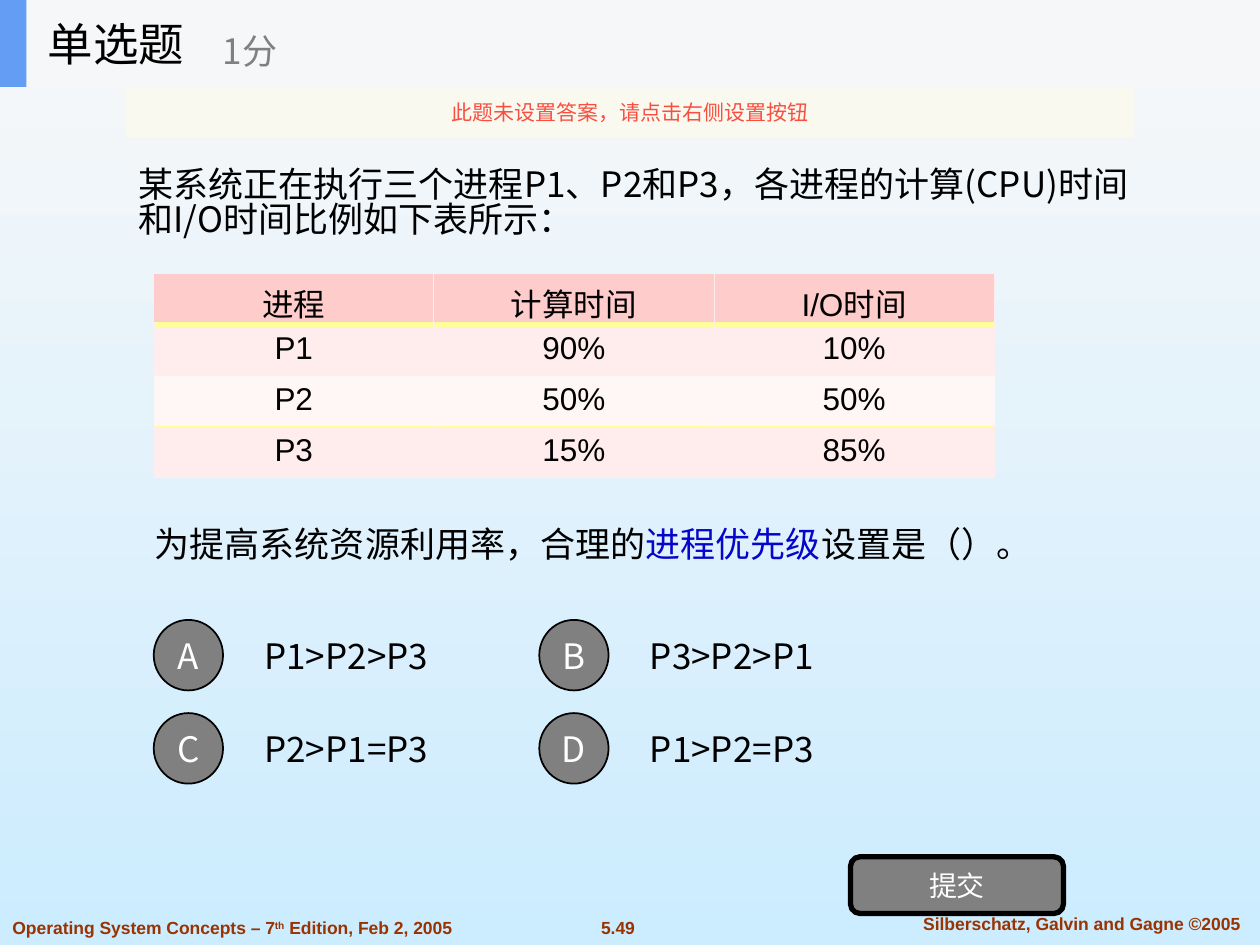
from collections import namedtuple

from lxml.etree import SubElement
from pptx import Presentation
from pptx.dml.color import RGBColor
from pptx.enum.shapes import MSO_SHAPE as Preset
from pptx.enum.text import MSO_ANCHOR as Anchor, PP_ALIGN as Align
from pptx.oxml.ns import qn
from pptx.util import Inches, Pt

# Grid of 100 columns by 75 rows; every cell is a tenth of an inch square
COLUMNS, ROWS, CELL = 100, 75, Inches(0.1)
CJK, LATIN = "Noto Sans CJK SC", "Arial"
BLACK, WHITE, GREY, RUST, YELLOW = "000000", "FFFFFF", "808080", "993300", "FFFF99"

Box = namedtuple("Box", "left top width height")


def inside(box, left, top, width, height):
    """A box whose place is counted from the corner of another box."""
    return Box(box.left + left, box.top + top, width, height)


def emu(box):
    return [round(value * CELL) for value in box]


def color(value):
    return RGBColor.from_string(value)


def add_run(paragraph, text, size, ink=BLACK, face=CJK, bold=False):
    run = paragraph.add_run()
    run.text = text
    font = run.font
    font.size, font.name, font.bold = Pt(size), face, bold
    font.color.rgb = color(ink)
    SubElement(font._element, qn("a:ea")).set("typeface", CJK)
    return run


def write(shape, runs, align=Align.LEFT, anchor=Anchor.MIDDLE, wrap=True, spacing=None, **style):
    """Fill a shape with one paragraph; runs are (text, ink) pairs."""
    frame = shape.text_frame
    frame.word_wrap, frame.vertical_anchor = wrap, anchor
    paragraph = frame.paragraphs[0]
    paragraph.alignment = align
    if spacing:
        paragraph.line_spacing = spacing
    return [add_run(paragraph, text, ink=ink, **style) for text, ink in runs]


def add_text(slide, box, runs, **style):
    return write(slide.shapes.add_textbox(*emu(box)), runs, **style)


def add_block(slide, box, preset, fill, line_width=0):
    shape = slide.shapes.add_shape(preset, *emu(box))
    shape.shadow.inherit = False
    shape.fill.solid()
    shape.fill.fore_color.rgb = color(fill)
    if line_width:
        shape.line.color.rgb = color(BLACK)
        shape.line.width = Pt(line_width)
    else:
        shape.line.fill.background()
    return shape


def paint_background(slide):
    fill = slide.background.fill
    fill.gradient()
    fill.gradient_angle = 270
    for stop, value in zip(fill.gradient_stops, ("F8F8F8", "CCECFF")):
        stop.color.rgb = color(value)


def add_header(slide, box):
    add_block(slide, box, Preset.RECTANGLE, "F6F7F8")
    add_block(slide, inside(box, 0, 0, 2.1, box.height), Preset.RECTANGLE, "639EF4")
    add_text(slide, inside(box, 2.8, 0, 20.8, box.height), [("单选题", BLACK)], size=26, wrap=False)
    add_text(slide, inside(box, 16.7, 1.2, 25, 5.6), [("1分", GREY)], size=20, wrap=False)


def add_notice(slide, box):
    banner = add_block(slide, box, Preset.RECTANGLE, "FBFAEF")
    fill_color = banner._element.spPr.find(".//" + qn("a:srgbClr"))
    SubElement(fill_color, qn("a:alpha")).set("val", "90000")
    write(banner, [("此题未设置答案，请点击右侧设置按钮", "F84F41")], align=Align.CENTER, size=12)


def set_border(cell, side, value, width):
    line = SubElement(cell._tc.get_or_add_tcPr(), qn("a:" + side), w=str(Pt(width)))
    solid = SubElement(line, qn("a:solidFill"))
    SubElement(solid, qn("a:srgbClr"), val=value)


def add_process_table(slide, box, rows):
    table = slide.shapes.add_table(len(rows), len(rows[0]), *emu(box)).table
    for row_index, values in enumerate(rows):
        is_header = row_index == 0
        fill = "FFCCCC" if is_header else ("FFF6F6", "FFECEC")[row_index % 2]
        side_line = ("FFECEC", 0.5) if is_header else (fill, 0.25)
        for column_index, value in enumerate(values):
            cell = table.cell(row_index, column_index)
            # Borders come before the fill in the cell properties
            set_border(cell, "lnL", *side_line)
            set_border(cell, "lnR", *side_line)
            set_border(cell, "lnT", YELLOW, 3 if row_index == 1 else 1)
            set_border(cell, "lnB", YELLOW, 3 if is_header else 1)
            cell.fill.solid()
            cell.fill.fore_color.rgb = color(fill)
            paragraph = cell.text_frame.paragraphs[0]
            paragraph.alignment = Align.CENTER
            add_run(paragraph, value, 18, face=LATIN)


def add_options(slide, box, answers, per_row=2):
    """Lettered circles with their answers, spread over equal grid steps."""
    step_x, step_y = box.width / per_row, box.height / (len(answers) / per_row)
    for index, (letter, answer) in enumerate(zip("ABCD", answers)):
        row, column = divmod(index, per_row)
        option = inside(box, column * step_x, row * step_y, step_x, step_y)
        circle = add_block(slide, inside(option, 0, 0.7, 5.5, 5.6), Preset.OVAL, GREY, 1)
        write(circle, [(letter, WHITE)], align=Align.CENTER, wrap=False, size=20)
        add_text(slide, inside(option, 7.8, 0, 21.7, 7), [(answer, BLACK)], size=20)


def add_submit_button(slide, box):
    button = add_block(slide, box, Preset.ROUNDED_RECTANGLE, GREY, 3)
    write(button, [("提交", WHITE)], align=Align.CENTER, size=16)


def add_footer(slide, box):
    style = dict(size=10, face=LATIN, bold=True, anchor=Anchor.TOP)
    title = [("Operating System Concepts – 7", RUST), ("th", RUST), (" Edition, Feb 2, 2005", RUST)]
    runs = add_text(slide, inside(box, 0, 0.3, 41.1, 2.7), title, wrap=False, **style)
    runs[1].font._element.set("baseline", "30000")
    add_text(slide, inside(box, 46.4, 0.3, 5.3, 2.7), [("5.49", RUST)],
             align=Align.CENTER, wrap=False, **style)
    add_text(slide, inside(box, 71, 0, 29.7, 2.7), [("Silberschatz, Galvin and Gagne ©2005", RUST)],
             align=Align.CENTER, **style)


def main():
    presentation = Presentation()
    presentation.slide_width, presentation.slide_height = COLUMNS * CELL, ROWS * CELL
    slide = presentation.slides.add_slide(presentation.slide_layouts[6])

    paint_background(slide)
    add_footer(slide, Box(0, 72, COLUMNS, 3))

    # Question stem, data table and closing question
    stem = "某系统正在执行三个进程P1、P2和P3，各进程的计算(CPU)时间和I/O时间比例如下表所示："
    add_text(slide, Box(10, 11.1, 83, 10.2), [(stem, BLACK)], size=20, spacing=0.83)
    add_process_table(slide, Box(12.2, 21.7, 66.7, 16.2), [
        ("进程", "计算时间", "I/O时间"),
        ("P1", "90%", "10%"),
        ("P2", "50%", "50%"),
        ("P3", "15%", "85%"),
    ])
    add_text(slide, Box(11.3, 38, 83, 10.2), [
        ("为提高系统资源利用率，合理的", BLACK),
        ("进程优先级", "0505CB"),
        ("设置是（）。", BLACK),
    ], size=20)

    add_options(slide, Box(12.2, 48.5, 61.2, 14.8),
                ["P1>P2>P3", "P3>P2>P1", "P2>P1=P3", "P1>P2=P3"])
    add_submit_button(slide, Box(67.5, 68, 16.9, 4.5))

    add_header(slide, Box(0, 0, COLUMNS, 6.9))
    add_notice(slide, Box(10, 6.9, 80, 4))
    presentation.save("out.pptx")


if __name__ == "__main__":
    main()
